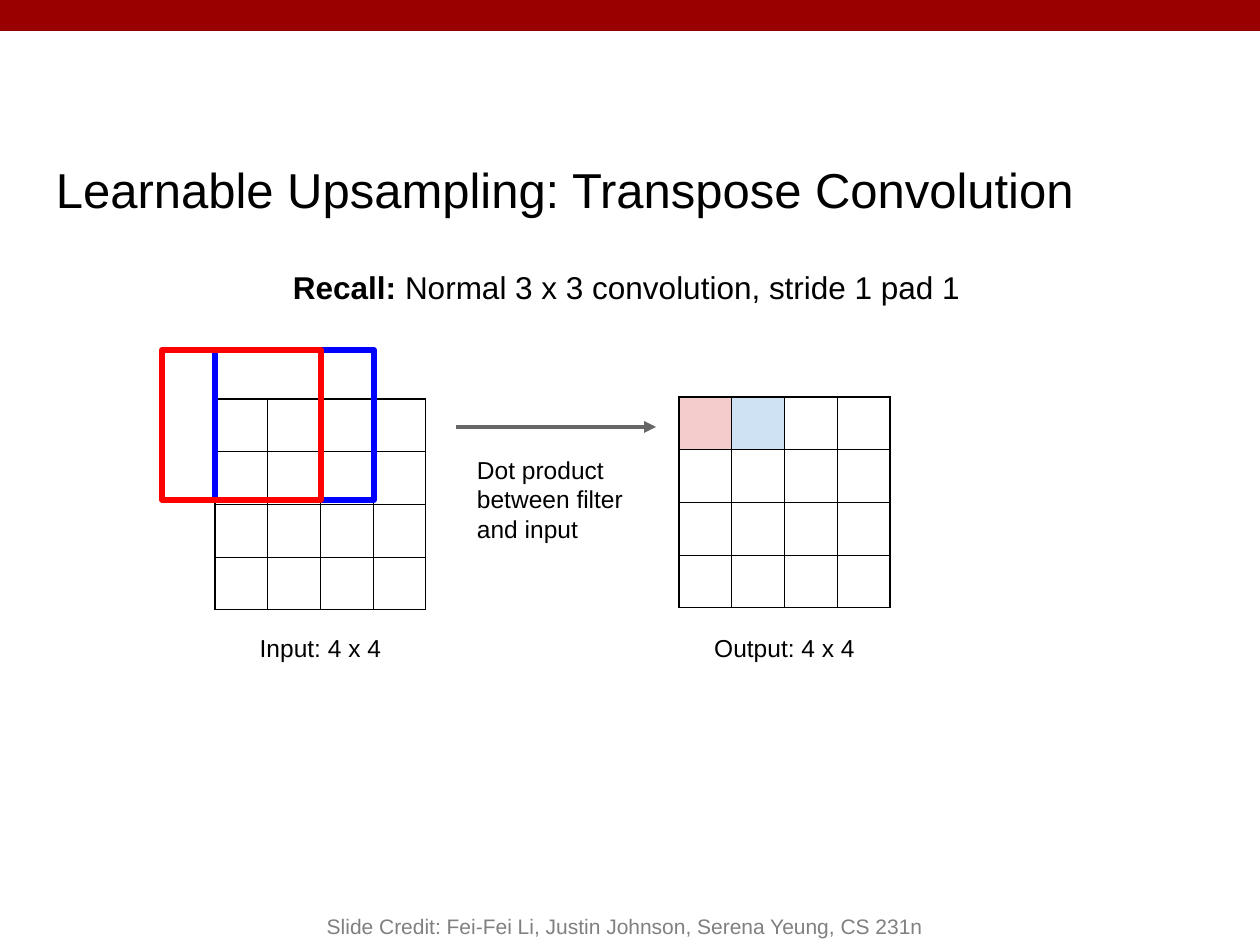
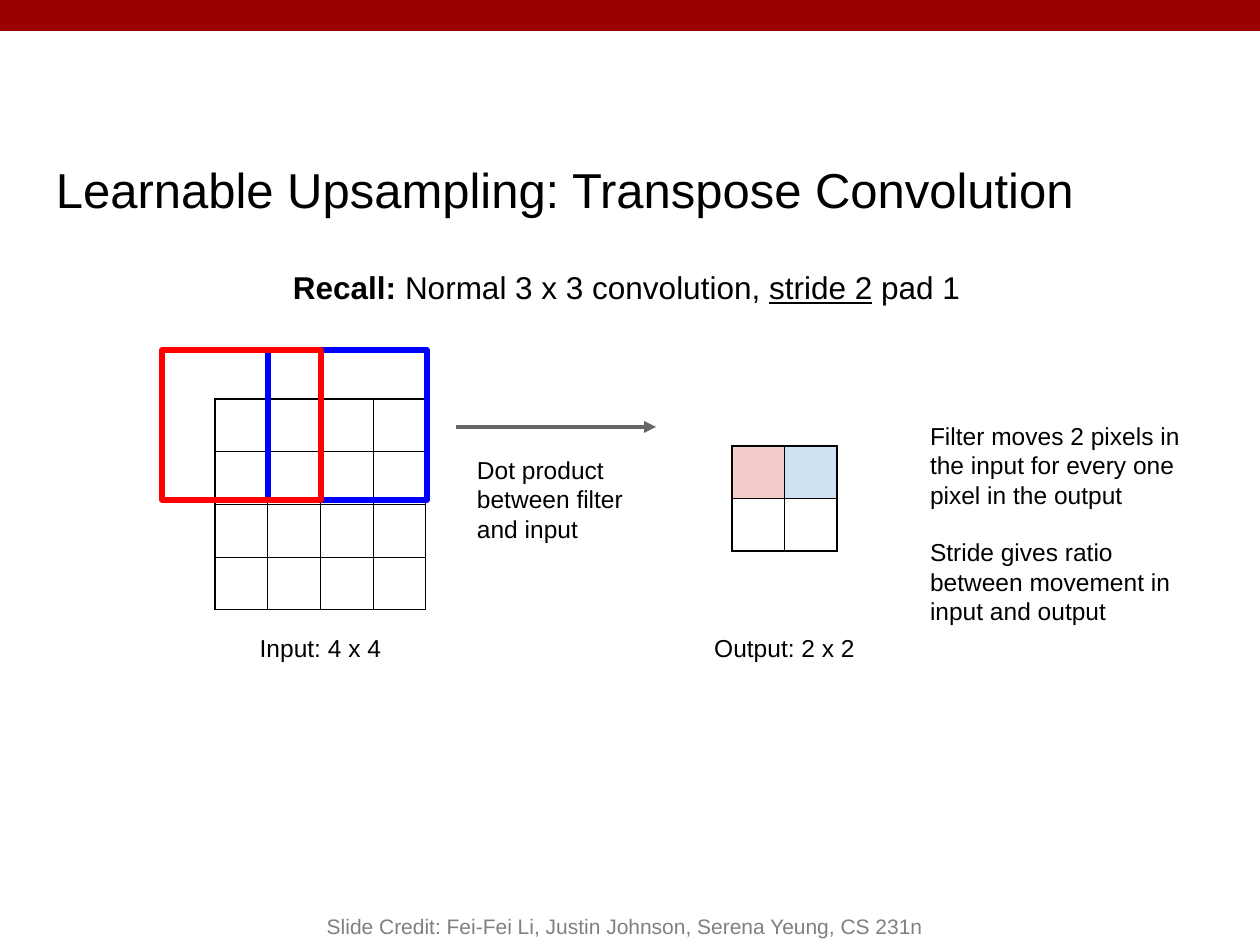
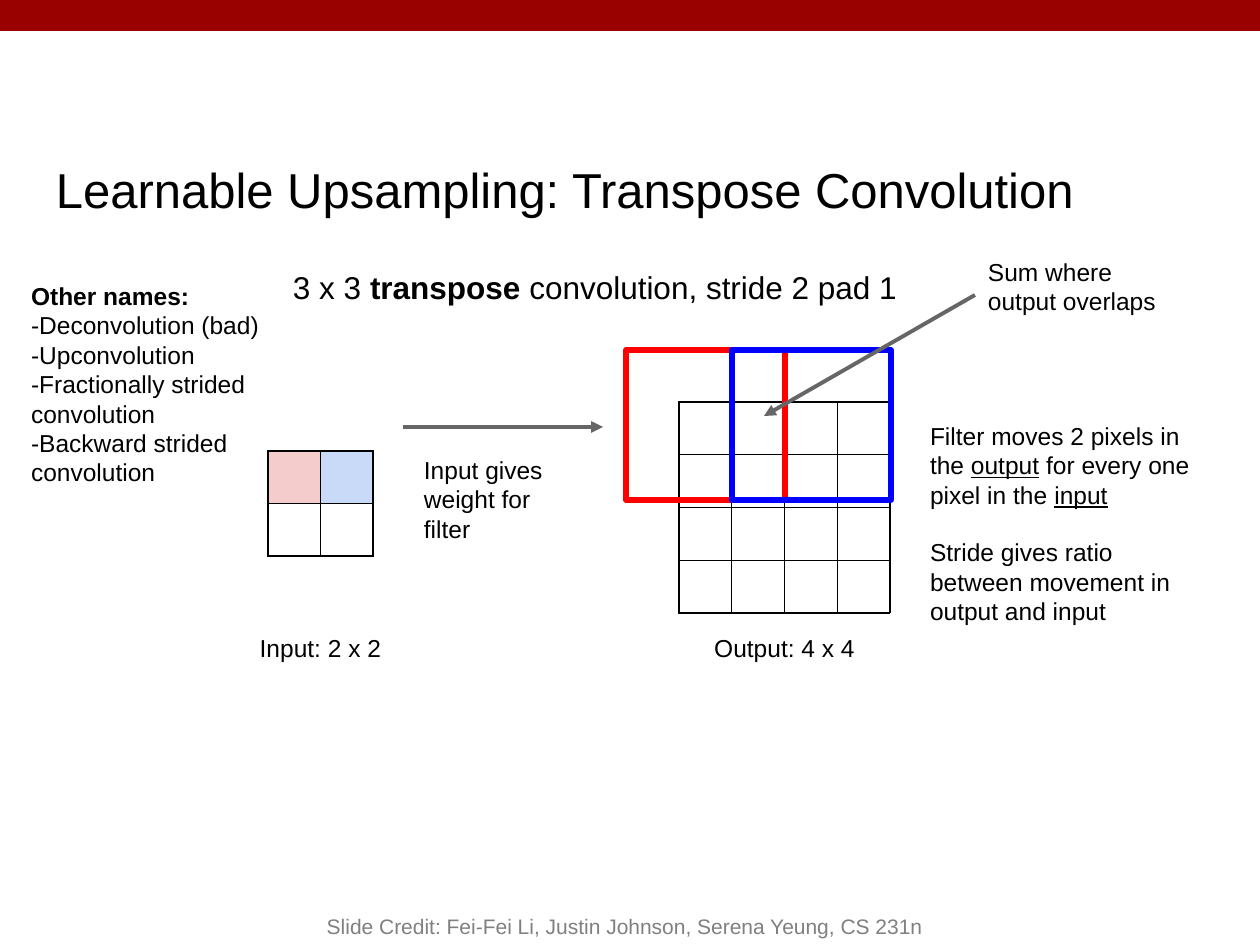
from typing import NamedTuple

from lxml import etree
from pptx import Presentation
from pptx.dml.color import RGBColor
from pptx.enum.shapes import MSO_CONNECTOR, MSO_SHAPE
from pptx.enum.text import MSO_ANCHOR, PP_ALIGN
from pptx.oxml.ns import qn
from pptx.util import Emu, Pt

EMU_PER_INCH, PX_PER_INCH = 914400, 126
PAGE_WIDTH, PAGE_HEIGHT = 1260, 945
BLANK_LAYOUT = 6
RECTANGLE, STRAIGHT = MSO_SHAPE.RECTANGLE, MSO_CONNECTOR.STRAIGHT
TOP, MIDDLE, BOTTOM = MSO_ANCHOR.TOP, MSO_ANCHOR.MIDDLE, MSO_ANCHOR.BOTTOM
LEFT, CENTER = PP_ALIGN.LEFT, PP_ALIGN.CENTER
LEFT_SIDE = 1

FONT = "Arial"
BLACK, CREDIT_GRAY, ARROW_GRAY = "000000", "808080", "666666"
BAND_RED, RED, BLUE = "990000", "FF0000", "0000FF"
PINK_TINT, BLUE_TINT, INPUT_BLUE_TINT = "F4CCCC", "CFE2F3", "C9DAF8"

TITLE = "Learnable Upsampling: Transpose Convolution"
CREDIT = "Slide Credit: Fei-Fei Li, Justin Johnson, Serena Yeung, CS 231n"

CELL = 53
PANEL_WIDTH = 211
FILTER_WIDTH, FILTER_HEIGHT = 159, 150
TEXT_SIZE, LINE_GAP = 14, 16


class Box(NamedTuple):
    left: int
    top: int
    width: int
    height: int


INPUT_PANEL = Box(215, 350, PANEL_WIDTH, 319)
OUTPUT_PANEL = Box(679, 350, PANEL_WIDTH, 319)
STEP_BOX = Box(456, 427, 200, 117)
TRANSPOSE_STEP_BOX = Box(403, 427, 200, 117)
NOTES_BOX = Box(917, 408, 306, 228)
NAMES_BOX = Box(18, 268, 268, 228)
OVERLAP_BOX = Box(764, 244, 411, 172)


def px(length):
    return Emu(round(length * EMU_PER_INCH / PX_PER_INCH))


def color(value):
    return RGBColor.from_string(value)


def write(page, box, paras, size=TEXT_SIZE, align=LEFT, anchor=TOP,
          ink=BLACK, inset=13, gap=0):
    """Each para is a string or a list of strings and (text, style) pairs."""
    label = page.shapes.add_textbox(*map(px, box))
    frame = label.text_frame
    frame.word_wrap = True
    frame.vertical_anchor = anchor
    frame.margin_left = frame.margin_right = px(13)
    frame.margin_top = frame.margin_bottom = px(inset)
    for index, spans in enumerate(paras):
        para = frame.paragraphs[0] if index == 0 else frame.add_paragraph()
        para.alignment = align
        para.space_before = Pt(gap if index else 0)
        para.font.name, para.font.size = FONT, Pt(size)
        para.font.color.rgb = color(ink)
        for span in [spans] if isinstance(spans, str) else spans:
            text, style = (span, "") if isinstance(span, str) else span
            run = para.add_run()
            run.text = text
            if style == "bold":
                run.font.bold = True
            elif style == "underline":
                run.font.underline = True
    return label


def draw_rectangle(page, box, fill=None, outline=None):
    shape = page.shapes.add_shape(RECTANGLE, *map(px, box))
    shape.shadow.inherit = False
    if fill:
        shape.fill.solid()
        shape.fill.fore_color.rgb = color(fill)
    else:
        shape.fill.background()
    if outline:
        shape.line.color.rgb = color(outline)
        shape.line.width = Pt(3)
        etree.SubElement(shape._element.spPr.find(qn("a:ln")), qn("a:round"))
    else:
        shape.line.fill.background()


def draw_arrow(page, start, end):
    arrow = page.shapes.add_connector(STRAIGHT, *map(px, start + end))
    arrow.line.color.rgb = color(ARROW_GRAY)
    arrow.line.width = Pt(2.25)
    properties = arrow._element.spPr
    etree.SubElement(properties.find(qn("a:ln")), qn("a:tailEnd"), type="triangle")
    etree.SubElement(properties, qn("a:effectLst"))
    return arrow


def add_borders(cell):
    properties = cell._tc.get_or_add_tcPr()
    for index, side in enumerate(("lnL", "lnR", "lnT", "lnB")):
        border = etree.Element(qn(f"a:{side}"), w=str(Pt(0.75)))
        fill = etree.SubElement(border, qn("a:solidFill"))
        etree.SubElement(fill, qn("a:srgbClr"), val=BLACK)
        properties.insert(index, border)


def draw_grid(page, left, top, count, tints):
    """Square pixel grid whose first cells take the tints."""
    side = PANEL_WIDTH * count // 4
    table = page.shapes.add_table(
        count, count, *map(px, (left, top, side, side))).table
    table.first_row = table.horz_banding = False
    for line in [*table.columns]:
        line.width = px(side) // count
    for line in table.rows:
        line.height = px(side) // count
    for index, cell in enumerate(table.iter_cells()):
        cell.margin_top = cell.margin_bottom = 0
        if index < len(tints):
            cell.fill.solid()
            cell.fill.fore_color.rgb = color(tints[index])
        else:
            cell.fill.background()
        add_borders(cell)


def draw_panel(page, box, name, count, grid_top, tints=()):
    """Grid centred in the panel, with its caption below."""
    left = box.left + (box.width - PANEL_WIDTH * count // 4) // 2
    draw_grid(page, left, box.top + grid_top, count, tints)
    write(page, Box(box.left, box.top + 270, box.width, 49),
          [f"{name}: {count} x {count}"], align=CENTER)


def draw_filters(page, panel, stride, front):
    """Two filter positions, one stride apart, starting in the padding."""
    steps = {RED: 0, BLUE: stride}
    for outline in sorted(steps, key=lambda shade: shade == front):
        left = panel.left + (steps[outline] - 1) * CELL
        draw_rectangle(page, Box(left, panel.top, FILTER_WIDTH, FILTER_HEIGHT),
                       outline=outline)


def draw_step(page, box, text):
    """Arrow along the top of the box, with its explanation below."""
    draw_arrow(page, (box.left, box.top), (box.left + box.width, box.top))
    write(page, Box(box.left + 8, box.top + 15, 179, 102), [text])


def draw_overlap_callout(page, box):
    """Text at the top right, pointing to the bottom left corner."""
    text_box = Box(box.left + 211, box.top, 200, 102)
    label = write(page, text_box, ["Sum where output overlaps"])
    arrow = draw_arrow(page, (text_box.left, text_box.top + 51),
                       (box.left, box.top + box.height))
    arrow.begin_connect(label, LEFT_SIDE)


def add_page(deck, heading):
    """Page with the shared band, title, heading and credit."""
    page = deck.slides.add_slide(deck.slide_layouts[BLANK_LAYOUT])
    draw_rectangle(page, Box(0, 0, PAGE_WIDTH, 31), fill=BAND_RED)
    write(page, Box(43, 130, 1134, 118), [TITLE], size=28, anchor=MIDDLE)
    write(page, Box(280, 255, 738, 49), [heading], size=18)
    write(page, Box(252, 882, 746, 63), [CREDIT], size=12, align=CENTER,
          anchor=BOTTOM, ink=CREDIT_GRAY, inset=6)
    return page


def add_convolution_page(deck, stride, heading, output_count, output_top):
    page = add_page(deck, [("Recall: ", "bold"), *heading])
    draw_panel(page, INPUT_PANEL, "Input", 4, 49)
    draw_panel(page, OUTPUT_PANEL, "Output", output_count, output_top,
               (PINK_TINT, BLUE_TINT))
    draw_filters(page, INPUT_PANEL, stride, front=RED)
    draw_step(page, STEP_BOX, "Dot product between filter and input")
    return page


def add_transpose_page(deck):
    page = add_page(deck, ["3 x 3 ", ("transpose", "bold"),
                           " convolution, stride 2 pad 1"])
    draw_panel(page, INPUT_PANEL, "Input", 2, 101, (PINK_TINT, INPUT_BLUE_TINT))
    draw_panel(page, OUTPUT_PANEL, "Output", 4, 52)
    draw_filters(page, OUTPUT_PANEL, 2, front=BLUE)
    draw_step(page, TRANSPOSE_STEP_BOX, "Input gives weight for filter")
    draw_overlap_callout(page, OVERLAP_BOX)
    write(page, NOTES_BOX, [
        ["Filter moves 2 pixels in the ", ("output", "underline"),
         " for every one pixel in the ", ("input", "underline")],
        "Stride gives ratio between movement in output and input",
    ], gap=LINE_GAP)
    write(page, NAMES_BOX, [
        [("Other names:", "bold")],
        "-Deconvolution (bad)",
        "-Upconvolution",
        "-Fractionally strided convolution",
        "-Backward strided convolution",
    ])


def main():
    deck = Presentation()
    deck.slide_width, deck.slide_height = px(PAGE_WIDTH), px(PAGE_HEIGHT)

    add_convolution_page(
        deck, 1, ["Normal 3 x 3 convolution, stride 1 pad 1"], 4, 47)

    strided = add_convolution_page(
        deck, 2, ["Normal 3 x 3 convolution, ", ("stride 2", "underline"), " pad 1"],
        2, 96)
    write(strided, NOTES_BOX, [
        "Filter moves 2 pixels in the input for every one pixel in the output",
        "Stride gives ratio between movement in input and output",
    ], gap=LINE_GAP)

    add_transpose_page(deck)
    deck.save("out.pptx")


if __name__ == "__main__":
    main()
